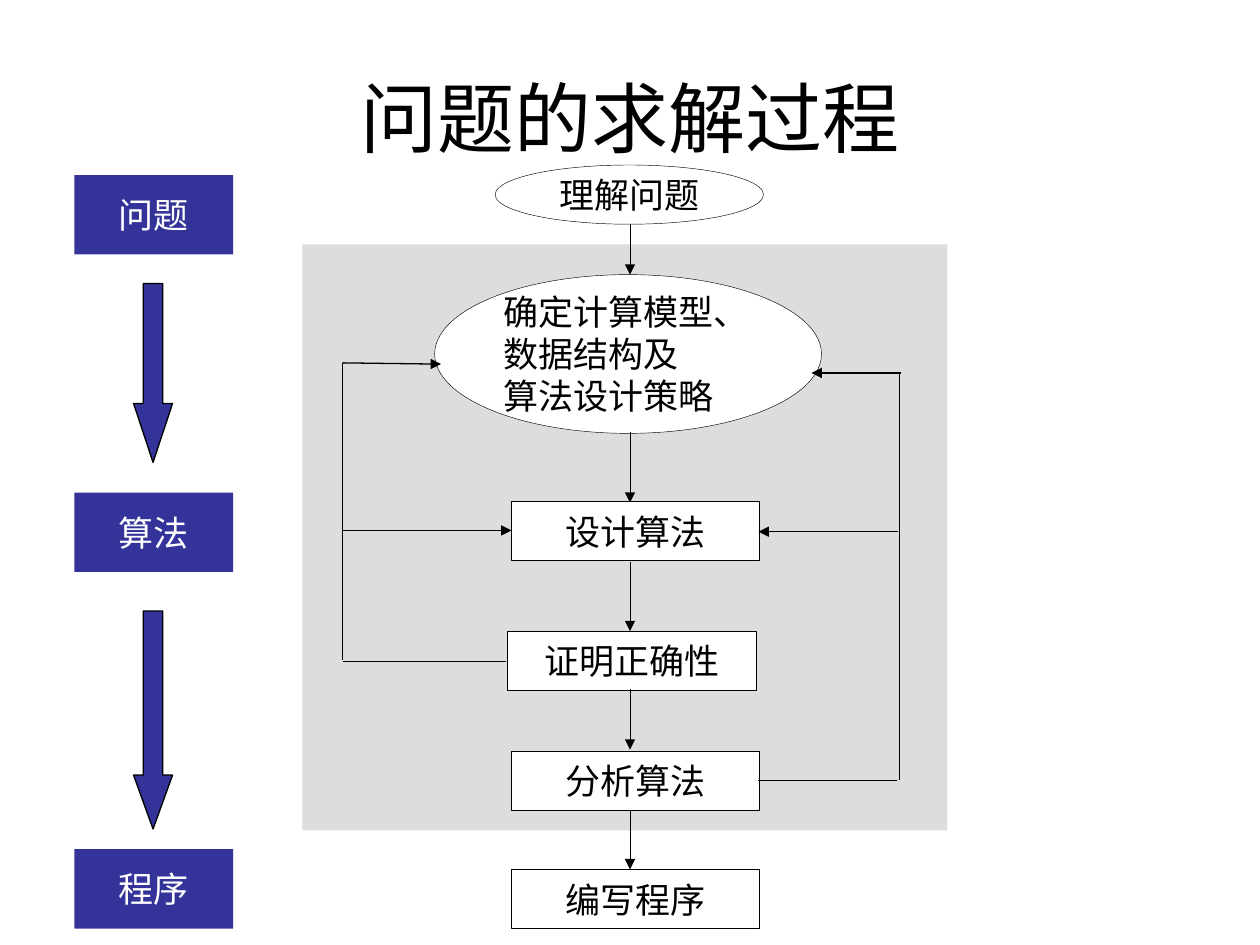
from pptx import Presentation
from pptx.dml.color import RGBColor
from pptx.enum.shapes import MSO_CONNECTOR, MSO_SHAPE
from pptx.enum.text import MSO_ANCHOR, PP_ALIGN
from pptx.oxml.ns import qn
from pptx.util import Inches, Pt
from lxml.etree import SubElement

COLS, ROWS = 100, 75
COLORS = {"ink": "000000", "paper": "FFFFFF", "navy": "333399", "panel": "DDDDDD"}
BODY, HEAD = "Arial", "Comic Neue"


class Board:
    """Holds the style and the slide; lengths are in grid columns and rows."""

    def __init__(self):
        self.deck = Presentation()
        self.deck.slide_width, self.deck.slide_height = Inches(10), Inches(7.5)
        self.slide = self.deck.slides.add_slide(self.deck.slide_layouts[6])

    def spot(self, *nums):
        """Turn alternating columns and rows into slide lengths."""
        steps = self.deck.slide_width / COLS, self.deck.slide_height / ROWS
        return [round(num * steps[i % 2]) for i, num in enumerate(nums)]

    def color(self, name):
        return RGBColor.from_string(COLORS[name])

    def label(self, shape, text, font=BODY, size=20, ink="ink",
              align=PP_ALIGN.CENTER, wrap=False):
        frame = shape.text_frame
        frame.text = text
        frame.word_wrap = wrap
        frame.vertical_anchor = MSO_ANCHOR.MIDDLE
        style = {"name": font, "size": Pt(size)}
        for para in frame.paragraphs:
            para.alignment = align
            for key, value in style.items():
                setattr(para.font, key, value)
            para.font.color.rgb = self.color(ink)

    def shape(self, kind, area, fill=None, line=None, text=None, **style):
        item = self.slide.shapes.add_shape(kind, *self.spot(*area))
        item.shadow.inherit = False
        if fill:
            item.fill.solid()
            item.fill.fore_color.rgb = self.color(fill)
        else:
            item.fill.background()
        if line:
            item.line.color.rgb = self.color("ink")
            item.line.width = Pt(line)
        else:
            item.line.fill.background()
        if text:
            self.label(item, text, **style)
        return item

    def step(self, left, top, text):
        self.shape(MSO_SHAPE.RECTANGLE, (left, top, 19.7, 4.7), "paper", 0.25, text)

    def stage(self, top, text):
        self.shape(MSO_SHAPE.RECTANGLE, (5.9, top, 12.6, 6.3), "navy", None, text,
                   font=HEAD, ink="paper", wrap=True)

    def arrow(self, top, tall, head):
        item = self.shape(MSO_SHAPE.DOWN_ARROW, (10.6, top, 3.1, tall), "navy", 0.75)
        item.adjustments[1] = head

    def link(self, ends, tip=True, width=0.25):
        item = self.slide.shapes.add_connector(MSO_CONNECTOR.STRAIGHT, *self.spot(*ends))
        item.line.color.rgb = self.color("ink")
        item.line.width = Pt(width)
        props = item._element.spPr
        if tip:
            SubElement(props.find(qn("a:ln")), qn("a:tailEnd"), type="triangle")
        SubElement(props, qn("a:effectLst"))

    def title(self, area, text):
        box = self.slide.shapes.add_textbox(*self.spot(*area))
        self.label(box, text, font=HEAD, size=44, wrap=True)


def main():
    board = Board()
    board.shape(MSO_SHAPE.RECTANGLE, (24, 19.4, 51.2, 46.5), "panel")

    # Flow from understanding to coding
    board.shape(MSO_SHAPE.OVAL, (39.3, 13.1, 21.3, 4.7), None, 0.25, "理解问题")
    board.shape(MSO_SHAPE.OVAL, (34.5, 21.8, 30.7, 12.6), "paper", 0.25,
                "确定计算模型、\n数据结构及\n算法设计策略", align=PP_ALIGN.LEFT)
    for left, top, text in ((40.6, 39.8, "设计算法"), (40.3, 50.1, "证明正确性"),
                            (40.6, 59.6, "分析算法"), (40.6, 69, "编写程序")):
        board.step(left, top, text)
    for start, end in ((17.8, 21.8), (34.3, 39.9), (44.6, 50.1),
                       (54.7, 59.5), (64.3, 69)):
        board.link((50, start, 50, end))

    # Feedback from the proof, on the left
    rail = 27.2
    board.link((rail, 28.8, rail, 40.6), tip=False)
    board.link((rail, 40.5, rail, 52.4), tip=False)
    board.link((rail, 52.5, 40.2, 52.5), tip=False)
    board.link((rail, 42.1, 40.6, 42.1))
    board.link((rail, 28.8, 35, 28.9), width=0.75)

    # Feedback from the analysis, on the right
    rail = 71.4
    board.link((60.2, 61.9, 71.2, 61.9), tip=False)
    board.link((71.3, 42.2, 60.2, 42.2))
    board.link((rail, 61.9, rail, 29.6), tip=False, width=0.75)
    board.link((71.5, 29.6, 64.4, 29.6), width=0.75)

    # Stages beside the flow
    for top, text in ((13.9, "问题"), (39.1, "算法"), (67.4, "程序")):
        board.stage(top, text)
    board.arrow(22.5, 14.2, 1.51)
    board.arrow(48.5, 17.3, 1.38)

    board.title((5, 3, 90, 12.5), "问题的求解过程")
    board.deck.save("out.pptx")


if __name__ == "__main__":
    main()
